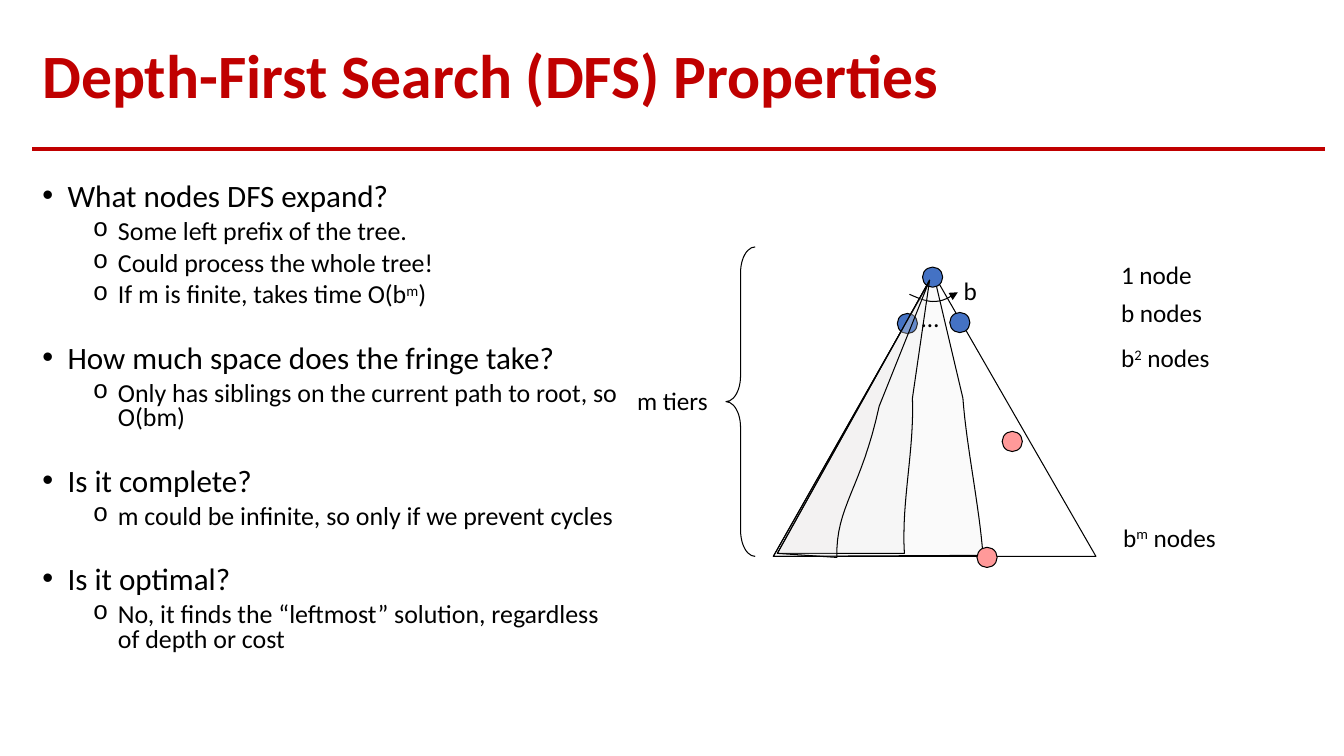
from lxml import etree
from pptx import Presentation
from pptx.dml.color import RGBColor
from pptx.enum import shapes, text
from pptx.oxml import ns
from pptx.util import Inches, Pt

COLORS = {"title": "C00000", "ink": "000000", "node": "4472C4",
          "goal": "FF9999", "prefix": "E7E6E6"}
FONT = "Calibri"
NODE_SIZE = 0.2

# Text parts: a tuple marks a superscript
BODY = [
    (0, ["What nodes DFS expand?"]),
    (1, ["Some left prefix of the tree."]),
    (1, ["Could process the whole tree!"]),
    (1, ["If m is finite, takes time O(b", ("m",), ")"]),
    (0, ["How much space does the fringe take?"]),
    (1, ["Only has siblings on the current path to root, so O(bm)"]),
    (0, ["Is it complete?"]),
    (1, ["m could be infinite, so only if we prevent cycles"]),
    (0, ["Is it optimal?"]),
    (1, ["No, it finds the “leftmost” solution, regardless of depth or cost"]),
]
LABELS = [
    (9.04, 2.95, 0.3, ["…"]),
    (9.46, 2.68, 0.33, ["b"]),
    (11.02, 2.52, 1.22, ["1 node"]),
    (11.02, 2.9, 1.22, ["b nodes"]),
    (11.02, 3.35, 1.22, ["b", ("2",), " nodes"]),
    (11.04, 5.13, 1.6, ["b", ("m",), " nodes"]),
    (6.22, 3.77, 1.38, ["m tiers"]),
]
# Outlines: a pair is a straight step, a triple of pairs is a Bézier step
TRIANGLE = [(7.67, 5.52), (10.87, 5.52), (9.26, 2.72)]
WIDE_PREFIX = [(7.67, 5.52), (9.75, 5.51),
               ((9.71, 5), (9.59, 4.46), (9.55, 3.95)), (9.26, 2.72)]
MIDDLE_PREFIX = [(7.71, 5.49), (8.97, 5.49),
                 ((8.94, 4.97), (9.07, 4.46), (9.05, 3.95)), (9.22, 2.78)]
NARROW_PREFIX = [(7.71, 5.49), (8.3, 5.53),
                 ((8.29, 5.02), (8.54, 4.86), (8.72, 4.03)), (9.22, 2.78)]
BRANCH_ARROW = [(9.02, 2.92), ((9.11, 2.96), (9.2, 3), (9.28, 2.99)),
                ((9.36, 2.99), (9.43, 2.94), (9.5, 2.9))]


def rgb(name):
    return RGBColor.from_string(COLORS[name])


def add_runs(p, parts, size, color="ink", bold=False):
    for part in parts:
        r = p.add_run()
        r.text = part if isinstance(part, str) else part[0]
        r.font.name, r.font.size, r.font.bold = FONT, Pt(size), bold
        r.font.color.rgb = rgb(color)
        if isinstance(part, tuple):
            r.font._element.set("baseline", "30000")


def style(sp, fill=None, alpha=None):
    sp.shadow.inherit = False
    sp.line.color.rgb = rgb("ink")
    sp.line.width = Pt(0.75)
    if fill is None:
        sp.fill.background()
        return
    sp.fill.solid()
    sp.fill.fore_color.rgb = rgb(fill)
    if alpha:
        clr = sp._element.spPr.find(".//" + ns.qn("a:srgbClr"))
        etree.SubElement(clr, ns.qn("a:alpha"), val=str(alpha * 1000))


def place(sp, x, y, w, h):
    sp.left, sp.top, sp.width, sp.height = map(Inches, (x, y, w, h))


def bezier(p0, p1, p2, p3, steps=16):
    for i in range(1, steps + 1):
        t = i / steps
        u = 1 - t
        yield tuple(u**3 * a + 3 * u * u * t * b + 3 * u * t * t * c + t**3 * d
                    for a, b, c, d in zip(p0, p1, p2, p3))


def add_outline(s, outline, fill=None, alpha=None, close=True):
    points = [outline[0]]
    for step in outline[1:]:
        if isinstance(step[0], tuple):
            points.extend(bezier(points[-1], *step))
        else:
            points.append(step)
    emu = [(Inches(x), Inches(y)) for x, y in points]
    builder = s.shapes.build_freeform(*emu[0])
    builder.add_line_segments(emu[1:], close=close)
    sp = builder.convert_to_shape()
    style(sp, fill, alpha)
    return sp


def add_node(s, x, y, fill):
    sp = s.shapes.add_shape(shapes.MSO_SHAPE.OVAL, Inches(x), Inches(y),
                            Inches(NODE_SIZE), Inches(NODE_SIZE))
    style(sp, fill)


def add_label(s, x, y, w, parts):
    sp = s.shapes.add_textbox(Inches(x), Inches(y), Inches(w), Inches(0.4))
    sp.text_frame.word_wrap = True
    add_runs(sp.text_frame.paragraphs[0], parts, 18)


def add_brace(s):
    sp = s.shapes.add_shape(shapes.MSO_SHAPE.LEFT_BRACE, Inches(7.2),
                            Inches(2.45), Inches(0.29), Inches(3.07))
    sp.adjustments[0] = 0.884
    style(sp)


def add_rule(s):
    line = s.shapes.add_connector(shapes.MSO_CONNECTOR.STRAIGHT, Inches(0.32),
                                  Inches(1.48), Inches(13.14), Inches(1.48))
    line.line.color.rgb = rgb("title")
    line.line.width = Pt(2.5)
    etree.SubElement(line._element.spPr, ns.qn("a:effectLst"))


def set_bullet(p, level):
    pPr = p._p.get_or_add_pPr()
    pPr.set("marL", str(Inches(0.75 if level else 0.25)))
    pPr.set("indent", str(Inches(-0.25)))
    etree.SubElement(pPr, ns.qn("a:buFont"),
                     typeface="Courier New" if level else "Arial")
    etree.SubElement(pPr, ns.qn("a:buChar"), char="o" if level else "•")


def fill_title(s):
    sp = s.shapes.title
    place(sp, 0.32, 0.28, 12.82, 1)
    tf = sp.text_frame
    tf.auto_size = text.MSO_AUTO_SIZE.NONE
    tf.vertical_anchor = text.MSO_ANCHOR.MIDDLE
    p = tf.paragraphs[0]
    p.alignment, p.line_spacing = text.PP_ALIGN.LEFT, 0.9
    add_runs(p, ["Depth-First Search (DFS) Properties"], 44, "title", True)


def fill_body(s):
    sp = s.placeholders[1]
    place(sp, 0.32, 1.77, 5.97, 5.17)
    tf = sp.text_frame
    tf.auto_size = text.MSO_AUTO_SIZE.NONE
    for i, (level, parts) in enumerate(BODY):
        p = tf.add_paragraph() if i else tf.paragraphs[0]
        p.level, p.line_spacing = level, 0.8
        p.space_before = Pt(5 if level else 26 if i else 10)
        set_bullet(p, level)
        add_runs(p, parts, 18.5 if level else 22.2)


def draw_tree(s):
    add_outline(s, WIDE_PREFIX, "prefix", 20)
    add_outline(s, TRIANGLE)
    for x, y in [(9.15, 2.65), (8.9, 3.11), (9.42, 3.1)]:
        add_node(s, x, y, "node")
    arrow = add_outline(s, BRANCH_ARROW, close=False)
    etree.SubElement(arrow.line._get_or_add_ln(), ns.qn("a:tailEnd"),
                     type="triangle")
    for label in LABELS:
        add_label(s, *label)
    add_brace(s)
    for outline in (MIDDLE_PREFIX, NARROW_PREFIX):
        add_outline(s, outline, "prefix", 20)
    for x, y in [(9.69, 5.43), (9.94, 4.28)]:
        add_node(s, x, y, "goal")


def main():
    prs = Presentation()
    prs.slide_width, prs.slide_height = Inches(13.33), Inches(7.5)
    s = prs.slides.add_slide(prs.slide_layouts[1])
    # Heading and list
    fill_title(s)
    add_rule(s)
    fill_body(s)
    # Search tree
    draw_tree(s)
    prs.save("out.pptx")


if __name__ == "__main__":
    main()
